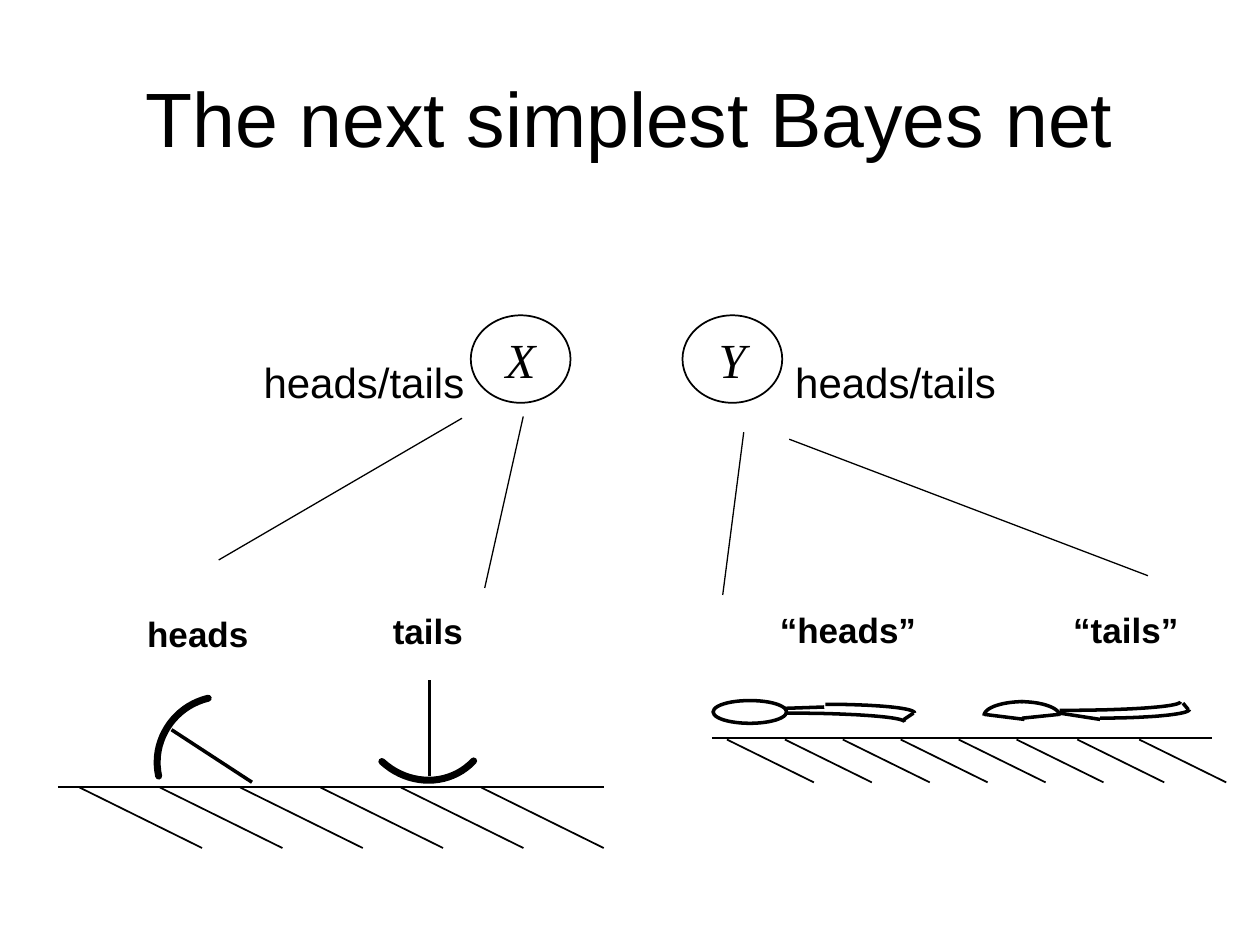
import pptx
import pptx.util
import pptx.dml.color
import pptx.enum.shapes
import pptx.enum.text
import pptx.oxml.ns
from lxml import etree

Pt = pptx.util.Pt
ALIGN = pptx.enum.text.PP_ALIGN
ANCHOR = pptx.enum.text.MSO_ANCHOR
COLORS = {"ink": "000000", "paper": "FFFFFF"}
THIN, NORMAL, THICK, HEAVY = 0.75, 1, 2, 4


def color(name):
    return pptx.dml.color.RGBColor.from_string(COLORS[name])


def write(frame, text, size=20, font="Arial", bold=False, italic=False,
          align=ALIGN.LEFT, anchor=ANCHOR.TOP, wrap=False):
    frame.word_wrap = wrap
    frame.vertical_anchor = anchor
    para = frame.paragraphs[0]
    para.alignment = align
    span = para.add_run()
    span.text = text
    span.font.size = Pt(size)
    span.font.name = font
    span.font.bold = bold
    span.font.italic = italic
    span.font.color.rgb = color("ink")


class Sketch:
    """Holds the line style and the current page."""

    def __init__(self, page, ink="ink"):
        self.page = page
        self.ink = ink

    def outline(self, shape, width):
        shape.line.color.rgb = color(self.ink)
        shape.line.width = Pt(width)

    def label(self, text, left, top, width, height, **style):
        box = self.page.shapes.add_textbox(Pt(left), Pt(top), Pt(width), Pt(height))
        write(box.text_frame, text, **style)
        if not box.text_frame.word_wrap:
            box.text_frame.auto_size = pptx.enum.text.MSO_AUTO_SIZE.SHAPE_TO_FIT_TEXT

    def ellipse(self, left, top, width, height, weight=NORMAL, fill=None):
        oval = self.page.shapes.add_shape(
            pptx.enum.shapes.MSO_SHAPE.OVAL, Pt(left), Pt(top), Pt(width), Pt(height))
        oval.shadow.inherit = False
        if fill:
            oval.fill.solid()
            oval.fill.fore_color.rgb = color(fill)
        else:
            oval.fill.background()
        self.outline(oval, weight)
        return oval

    def node(self, name, left, top):
        oval = self.ellipse(left, top, 57, 50)
        write(oval.text_frame, name, size=28, font="Times New Roman", italic=True,
              align=ALIGN.CENTER, anchor=ANCHOR.MIDDLE)

    def line(self, x1, y1, x2, y2, weight=NORMAL):
        stroke = self.page.shapes.add_connector(
            pptx.enum.shapes.MSO_CONNECTOR.STRAIGHT, Pt(x1), Pt(y1), Pt(x2), Pt(y2))
        self.outline(stroke, weight)
        etree.SubElement(stroke._element.spPr, pptx.oxml.ns.qn("a:effectLst"))

    def curve(self, *controls, weight=THICK, rotation=0, steps=20):
        """Draws a cubic curve through short segments."""
        points = []
        for step in range(steps + 1):
            t = step / steps
            weights = ((1 - t) ** 3, 3 * t * (1 - t) ** 2, 3 * t * t * (1 - t), t ** 3)
            points.append(tuple(
                Pt(sum(w * control[axis] for w, control in zip(weights, controls)))
                for axis in (0, 1)))
        builder = self.page.shapes.build_freeform(*points[0])
        builder.add_line_segments(points[1:], close=False)
        arc = builder.convert_to_shape()
        arc.rotation = rotation
        arc.shadow.inherit = False
        arc.fill.background()
        self.outline(arc, weight)
        if weight == HEAVY:
            arc.line._get_or_add_ln().set("cap", "rnd")

    def hatch(self, starts, top, width, height):
        for start in starts:
            self.line(start, top, start + width, top + height)


def main():
    deck = pptx.Presentation()
    deck.slide_width, deck.slide_height = Pt(720), Pt(540)
    sketch = Sketch(deck.slides.add_slide(deck.slide_layouts[6]))

    # Title
    sketch.label("The next simplest Bayes net", 36, 21.6, 648, 90, size=44,
                 align=ALIGN.CENTER, anchor=ANCHOR.MIDDLE, wrap=True)

    # Nodes and their values
    for name, node_left, label_left in (("X", 269, 143.5), ("Y", 390, 447.3)):
        sketch.node(name, node_left, 180.2)
        sketch.label("heads/tails", label_left, 200, 129, 36, size=24)

    # Lines from the nodes to the outcomes
    for ends in ((264, 239, 125, 320), (299, 238, 277, 336),
                 (425, 247, 413, 340), (451, 251, 656, 329)):
        sketch.line(*ends, weight=THIN)

    # Outcome labels
    for text, left, top, width in (("heads", 77, 346.5, 72.7), ("tails", 217.4, 344.5, 54.7),
                                   ("“heads”", 438.5, 344.2, 93), ("“tails”", 606.2, 344.2, 75)):
        sketch.label(text, left, top, width, 31, bold=True)

    # Ground under the tacks
    sketch.line(33.1, 449.8, 345, 449.8)
    sketch.hatch([45.5 + 45.9 * i for i in range(6)], 450, 70, 34.6)

    # Tack on its side, then tack on its head
    sketch.curve((90.7, 443.5), (86.4, 424), (98.6, 404), (119, 399), weight=HEAVY)
    sketch.line(98, 417, 144, 447, weight=THICK)
    sketch.curve((263.5, 417), (263.5, 437), (246.5, 453), (225.4, 453),
                 weight=HEAVY, rotation=43)
    sketch.line(245.4, 443.5, 245.4, 388.8, weight=THICK)

    # Ground under the spoons
    sketch.line(406.8, 421.8, 692.6, 421.8)
    sketch.hatch([415.4 + 33.1 * i for i in range(6)] + [615.6, 651], 422.6, 49.7, 24.5)

    # Spoon facing up
    sketch.ellipse(407.5, 400.3, 42, 13, weight=THICK, fill="paper")
    sketch.line(471, 404, 448, 404.8, weight=THICK)
    sketch.curve((471.6, 402.5), (500.4, 402.5), (522.7, 404.6), (522.7, 407.5))
    sketch.curve((449.3, 407.5), (486.7, 407.5), (517, 409.7), (517, 412.6))
    sketch.line(522, 407.5, 516.3, 411.3, weight=THICK)

    # Spoon facing down
    sketch.curve((562.3, 409), (562.3, 404.6), (572.4, 401), (584.6, 401))
    sketch.curve((583.2, 401), (595.4, 401), (605.5, 404.6), (605.5, 409))
    sketch.line(585.4, 411.1, 562.3, 408.2, weight=THICK)
    sketch.line(584, 410.4, 605.5, 408.2, weight=THICK)
    sketch.line(628.6, 411.1, 605.5, 407.5, weight=THICK)
    sketch.curve((679.7, 405.4), (679.7, 408.2), (656.6, 410.4), (628.6, 410.4))
    sketch.curve((674.6, 401), (674.6, 404), (643.7, 406), (605.5, 406))
    sketch.line(676, 401.8, 679, 405.4, weight=THICK)

    deck.save("out.pptx")


if __name__ == "__main__":
    main()
